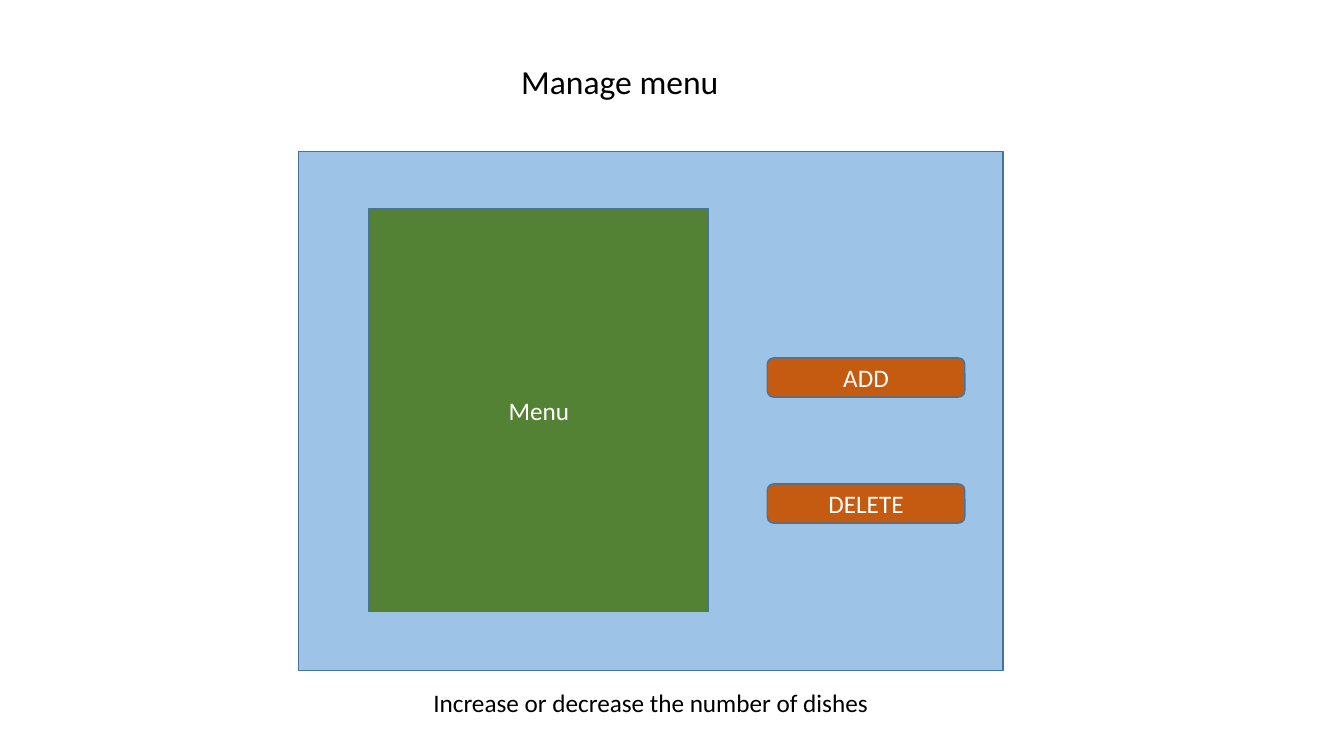
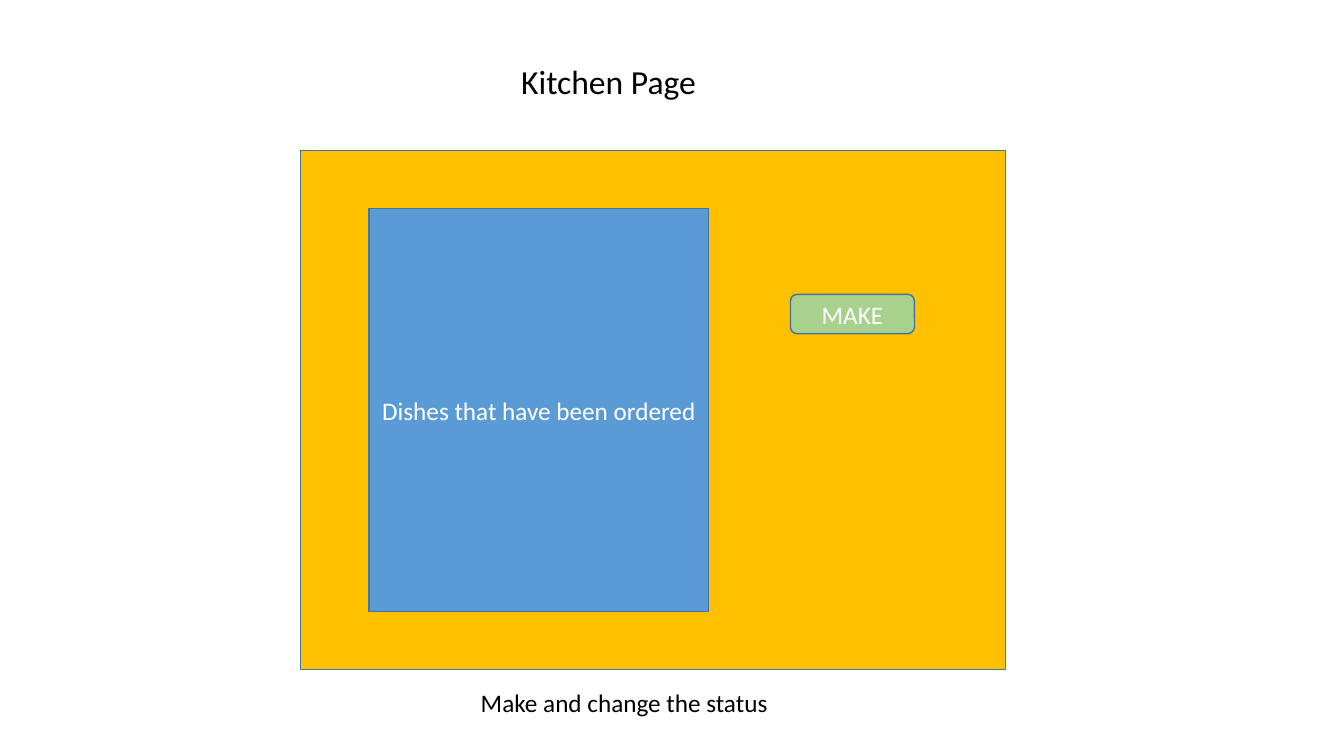
"""Build two wireframe slides: the menu manager and the kitchen page."""
from pptx import Presentation
from pptx import util as u
from pptx.dml.color import RGBColor
from pptx.enum import shapes, text

COLUMNS, ROWS = 13.33, 7.5
FONT, OUTLINE, WHITE, BLACK = "Calibri", "43739E", "FFFFFF", "000000"
TITLE_SIZE, BODY_SIZE = 24, 18
TITLE_AREA = (5.07, 0.56, 2.78, 0.5)
LIST_AREA = (3.66, 2.07, 3.37, 4)
PANEL_SIZE = (6.99, 5.15)
CAPTION_TOP, CAPTION_HEIGHT = 6.77, 0.4
BUTTON_HEIGHT, BUTTON_STEP = 0.39, 1.25

PAGES = [
    {
        "title": "Manage menu",
        "panel": ((2.96, 1.5), "9DC3E6"),
        "list": ("Menu", "548235"),
        "buttons": (["ADD", "DELETE"], "C55A11"),
        "button_place": (7.61, 3.55, 1.96),
        "caption": ("Increase or decrease the number of dishes", 4.2, 5.44),
    },
    {
        "title": "Kitchen Page",
        "panel": ((2.98, 1.49), "FFC000"),
        "list": ("Dishes that have been ordered", "5B9BD5"),
        "buttons": (["MAKE"], "A9D18E"),
        "button_place": (7.84, 2.92, 1.23),
        "caption": ("Make and change the status", 4.67, 3.37),
    },
]

presentation = Presentation()
presentation.slide_width = u.Inches(COLUMNS)
presentation.slide_height = u.Inches(ROWS)


def color(value):
    return RGBColor.from_string(value)


def cells(area):
    return [u.Inches(length) for length in area]


def write(shape, words, size, ink, alignment):
    frame = shape.text_frame
    frame.word_wrap = True
    frame.text = words
    paragraph = frame.paragraphs[0]
    paragraph.alignment = alignment
    font = paragraph.runs[0].font
    font.name, font.size = FONT, u.Pt(size)
    font.color.rgb = color(ink)


def add_box(slide, area, fill, words="", kind=shapes.MSO_SHAPE.RECTANGLE):
    shape = slide.shapes.add_shape(kind, *cells(area))
    shape.shadow.inherit = False
    shape.fill.solid()
    shape.fill.fore_color.rgb = color(fill)
    shape.line.color.rgb = color(OUTLINE)
    shape.line.width = u.Pt(1)
    if words:
        write(shape, words, BODY_SIZE, WHITE, text.PP_ALIGN.CENTER)
        shape.text_frame.vertical_anchor = text.MSO_ANCHOR.MIDDLE


def add_label(slide, area, words, size):
    shape = slide.shapes.add_textbox(*cells(area))
    write(shape, words, size, BLACK, text.PP_ALIGN.LEFT)
    shape.text_frame.auto_size = text.MSO_AUTO_SIZE.SHAPE_TO_FIT_TEXT


def add_page(page):
    slide = presentation.slides.add_slide(presentation.slide_layouts[6])
    corner, panel_fill = page["panel"]
    add_box(slide, corner + PANEL_SIZE, panel_fill)
    list_words, list_fill = page["list"]
    add_box(slide, LIST_AREA, list_fill, list_words)
    names, button_fill = page["buttons"]
    left, top, width = page["button_place"]
    for index, name in enumerate(names):
        area = (left, top + index * BUTTON_STEP, width, BUTTON_HEIGHT)
        add_box(slide, area, button_fill, name, shapes.MSO_SHAPE.ROUNDED_RECTANGLE)
    caption, left, width = page["caption"]
    add_label(slide, (left, CAPTION_TOP, width, CAPTION_HEIGHT), caption, BODY_SIZE)
    add_label(slide, TITLE_AREA, page["title"], TITLE_SIZE)


for page in PAGES:
    add_page(page)
presentation.save("out.pptx")
